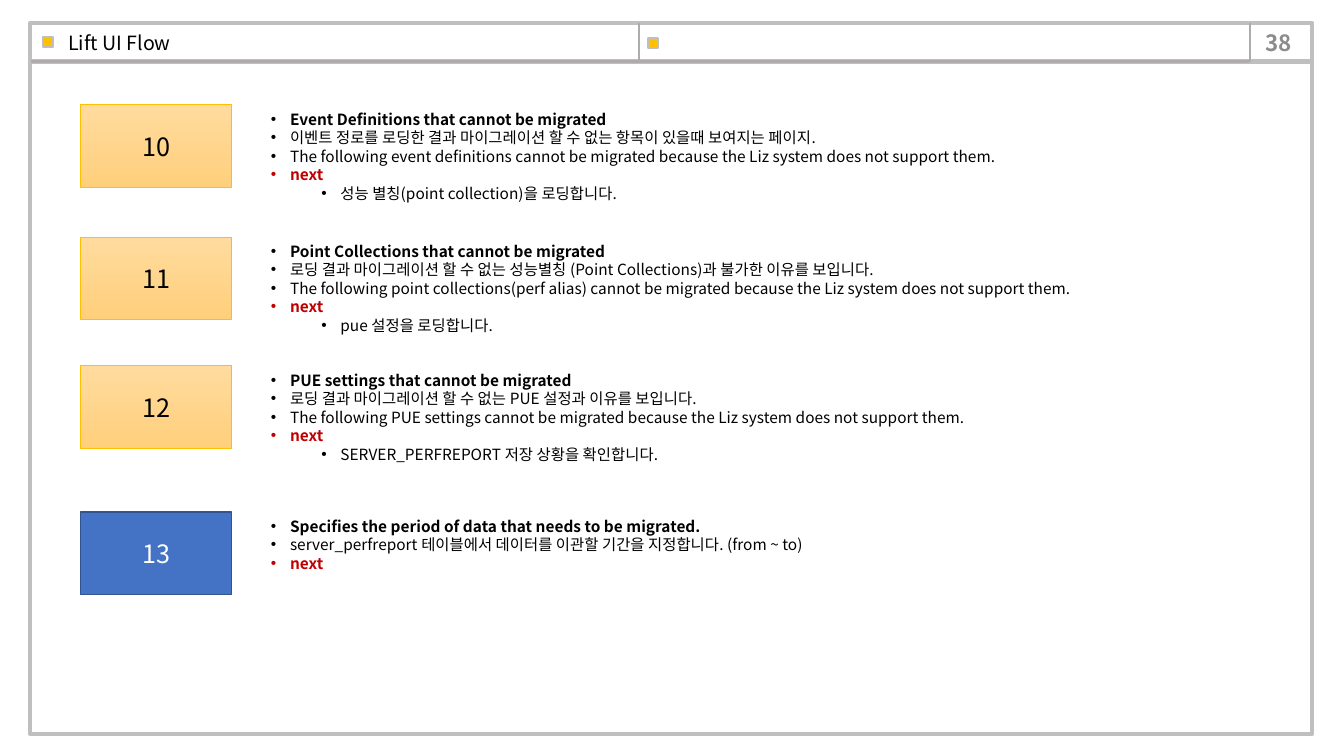
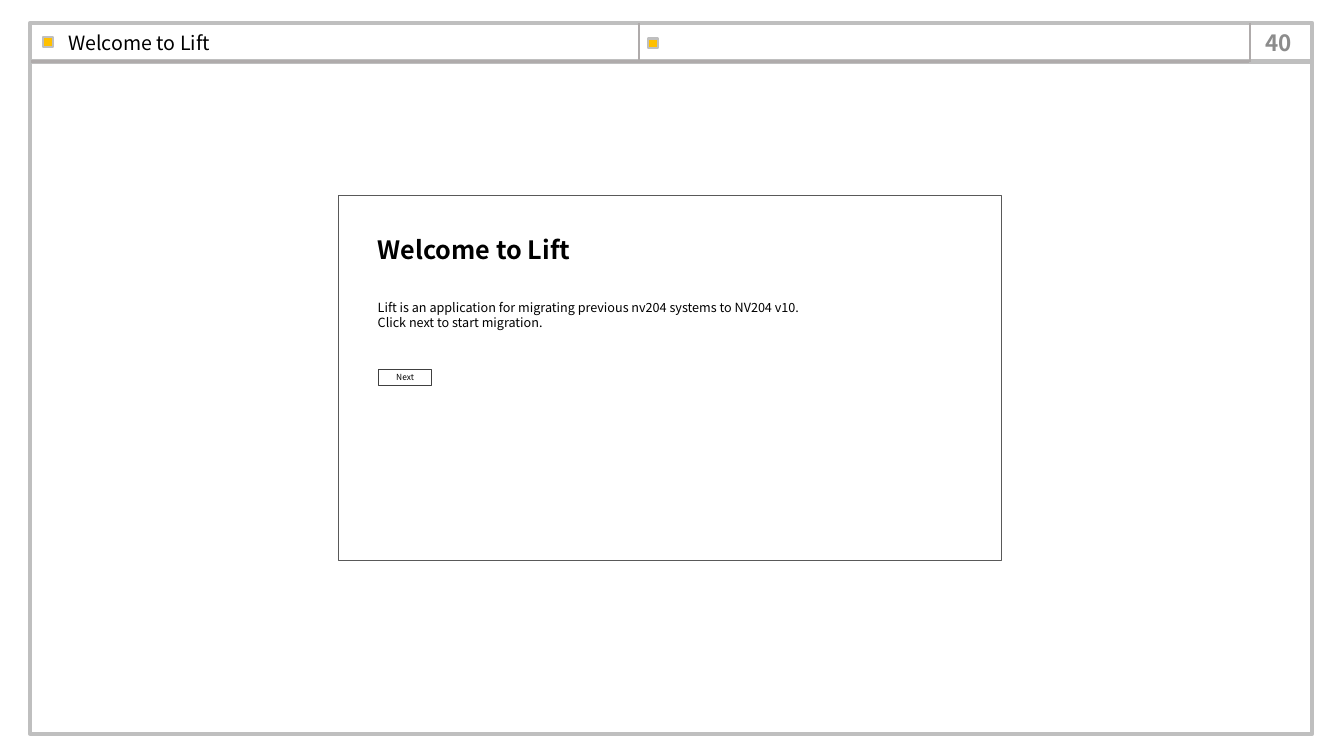
from lxml.etree import SubElement
from pptx import Presentation
from pptx.dml.color import RGBColor
from pptx.enum.shapes import MSO_CONNECTOR, MSO_SHAPE
from pptx.enum.text import MSO_ANCHOR, PP_ALIGN
from pptx.oxml.ns import qn
from pptx.util import Cm, Pt

FONT = "Noto Sans CJK KR"
BLACK = RGBColor(0x00, 0x00, 0x00)
WHITE = RGBColor(0xFF, 0xFF, 0xFF)
FRAME = RGBColor(0xBF, 0xBF, 0xBF)
RULE = RGBColor(0xAF, 0xAB, 0xAB)
GRAY = RGBColor(0x8C, 0x8C, 0x8C)
EDGE = RGBColor(0x59, 0x59, 0x59)
DARK = RGBColor(0x40, 0x40, 0x40)
GOLD = RGBColor(0xFF, 0xC0, 0x00)
LIGHT = RGBColor(0xFF, 0xDB, 0x9E)
DEEP = RGBColor(0xFF, 0xD0, 0x7C)
BLUE = RGBColor(0x44, 0x72, 0xC4)
NAVY = RGBColor(0x32, 0x54, 0x91)
RED = RGBColor(0xC0, 0x00, 0x00)


def box(slide, at, fill, line, width):
    shape = slide.shapes.add_shape(MSO_SHAPE.RECTANGLE, *map(Cm, at))
    shape.shadow.inherit = False
    if fill is None:
        shape.fill.background()
    elif isinstance(fill, list):
        shape.fill.gradient()
        shape.fill.gradient_angle = 270
        for stop, color in zip(shape.fill.gradient_stops, fill):
            stop.color.rgb = color
    else:
        shape.fill.solid()
        shape.fill.fore_color.rgb = fill
    shape.line.color.rgb = line
    shape.line.width = Pt(width)
    return shape


def write(shape, lines, size, align=PP_ALIGN.LEFT, anchor=MSO_ANCHOR.TOP, wrap=True):
    frame = shape.text_frame
    frame.word_wrap = wrap
    frame.vertical_anchor = anchor
    for i, (text, color, bold) in enumerate(lines):
        para = frame.add_paragraph() if i else frame.paragraphs[0]
        para.alignment = align
        run = para.add_run()
        run.text = text
        run.font.name = FONT
        run.font.size = Pt(size)
        run.font.bold = bold
        run.font.color.rgb = color
        SubElement(run.font._element, qn("a:ea"), typeface=FONT)
    return frame


deck = Presentation()
deck.slide_width = Cm(33.87)
deck.slide_height = Cm(19.05)

pages = []
for title, number in [("Lift UI Flow", "38"), ("Welcome to Lift", "40")]:
    page = deck.slides.add_slide(deck.slide_layouts[6])
    pages.append(page)
    box(page, (0.76, 1.55, 32.31, 16.94), WHITE, FRAME, 3)
    box(page, (0.76, 0.58, 32.31, 0.97), None, FRAME, 3)
    for ends in [(0.79, 1.55, 31.47, 1.55), (31.5, 1.55, 31.5, 0.58), (16.1, 1.55, 16.1, 0.58)]:
        rule = page.shapes.add_connector(MSO_CONNECTOR.STRAIGHT, *map(Cm, ends))
        rule.line.color.rgb = RULE
        rule.line.width = Pt(1.5)
        SubElement(rule._element.spPr, qn("a:effectLst"))
    for left, top in [(1.09, 0.94), (16.33, 0.97)]:
        box(page, (left, top, 0.25, 0.25), GOLD, FRAME, 1.5)
    label = page.shapes.add_textbox(Cm(31.34), Cm(0.61), Cm(1.75), Cm(0.91))
    write(label, [(number, GRAY, True)], 16, PP_ALIGN.CENTER, MSO_ANCHOR.MIDDLE)
    head = page.shapes.add_textbox(Cm(1.47), Cm(0.69), Cm(14.43), Cm(0.81))
    frame = write(head, [(title, BLACK, False)], 14, anchor=MSO_ANCHOR.BOTTOM)
    frame.paragraphs[0].line_spacing = 0.9

flow, hello = pages

amber = ([LIGHT, DEEP], GOLD, 0.5, BLACK)
solid = (BLUE, NAVY, 1, WHITE)
steps = [
    ("10", 2.64, amber, "Event Definitions that cannot be migrated",
     ["이벤트 정로를 로딩한 결과 마이그레이션 할 수 없는 항목이 있을때 보여지는 페이지.",
      "The following event definitions cannot be migrated because the Liz system does not support them."],
     "성능 별칭(point collection)을 로딩합니다."),
    ("11", 5.97, amber, "Point Collections that cannot be migrated",
     ["로딩 결과 마이그레이션 할 수 없는 성능별칭 (Point Collections)과 불가한 이유를 보입니다.",
      "The following point collections(perf alias) cannot be migrated because the Liz system does not support them."],
     "pue 설정을 로딩합니다."),
    ("12", 9.22, amber, "PUE settings that cannot be migrated",
     ["로딩 결과 마이그레이션 할 수 없는 PUE 설정과 이유를 보입니다.",
      "The following PUE settings cannot be migrated because the Liz system does not support them."],
     "SERVER_PERFREPORT 저장 상황을 확인합니다."),
    ("13", 12.9, solid, "Specifies the period of data that needs to be migrated.",
     ["server_perfreport 테이블에서 데이터를 이관할 기간을 지정합니다. (from ~ to)"],
     None),
]
for number, top, (fill, line, width, ink), name, facts, after in steps:
    tile = box(flow, (2.03, top, 3.81, 2.08), fill, line, width)
    write(tile, [(number, ink, False)], 18, PP_ALIGN.CENTER, MSO_ANCHOR.MIDDLE)
    lines = [(name, BLACK, True)] + [(fact, BLACK, False) for fact in facts] + [("next", RED, True)]
    if after:
        lines.append((after, BLACK, False))
    notes = flow.shapes.add_textbox(Cm(6.58), Cm(top), Cm(21.59), Cm(2.62 if after else 2.13))
    frame = write(notes, lines, 11)
    for para, (text, color, bold) in zip(frame.paragraphs, lines):
        para.level = int(text == after)
        props = para._p.get_or_add_pPr()
        props.set("marL", str(Cm(0.48 + 1.27 * para.level)))
        props.set("indent", str(-Cm(0.48)))
        SubElement(props, qn("a:buFont"), typeface="Arial")
        SubElement(props, qn("a:buChar"), char="•")

box(hello, (8.53, 4.93, 16.71, 9.19), None, EDGE, 1)
intro = hello.shapes.add_textbox(Cm(9.27), Cm(7.42), Cm(11.4), Cm(1.02))
write(intro, [
    ("Lift is an application for migrating previous nv204 systems to NV204 v10.", BLACK, False),
    ("Click next to start migration.", BLACK, False),
], 9, wrap=False)
button = box(hello, (9.55, 9.3, 1.32, 0.41), WHITE, DARK, 0.75)
write(button, [("Next", BLACK, False)], 6, PP_ALIGN.CENTER, MSO_ANCHOR.MIDDLE)
banner = hello.shapes.add_textbox(Cm(9.27), Cm(5.79), Cm(5.41), Cm(1.02))
write(banner, [("Welcome to Lift", BLACK, True)], 18, wrap=False)

deck.save("out.pptx")
